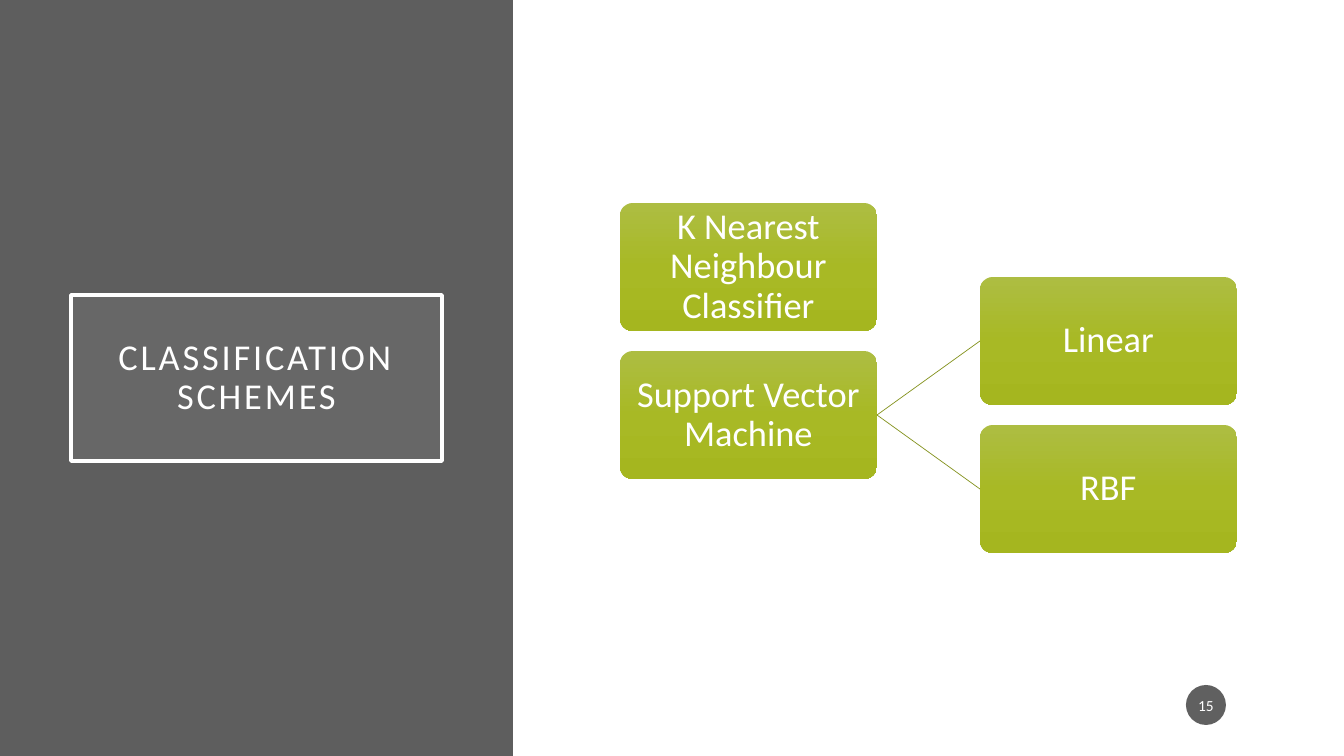
from copy import deepcopy

from lxml import etree
from pptx import Presentation
from pptx.dml.color import RGBColor
from pptx.enum.shapes import MSO_CONNECTOR, MSO_SHAPE
from pptx.enum.text import MSO_ANCHOR, PP_ALIGN
from pptx.oxml.ns import qn
from pptx.util import Emu, Pt

RECT, ROUND, OVAL = MSO_SHAPE.RECTANGLE, MSO_SHAPE.ROUNDED_RECTANGLE, MSO_SHAPE.OVAL
STRAIGHT = MSO_CONNECTOR.STRAIGHT
MIDDLE, CENTER = MSO_ANCHOR.MIDDLE, PP_ALIGN.CENTER

# Content
TITLE = "CLASSIFICATION SCHEMES"
PAGE = "15"
NODES = {  # text: (column, row)
    "K Nearest Neighbour Classifier": (0, 0),
    "Support Vector Machine": (0, 1),
    "Linear": (1, 0.5),
    "RBF": (1, 1.5),
}
LINKS = [("Support Vector Machine", "Linear"), ("Support Vector Machine", "RBF")]

# Style
FONT = "Calibri"
WHITE = RGBColor(0xFF, 0xFF, 0xFF)
PANEL = RGBColor(0x5E, 0x5E, 0x5E)
TITLE_FILL = RGBColor(0x9E, 0x9E, 0x9E)
BADGE = RGBColor(0x1D, 0x1D, 0x1D)
LINK = RGBColor(0x85, 0x93, 0x1F)
GREENS = [RGBColor(0xAD, 0xBD, 0x42), RGBColor(0xA8, 0xB9, 0x25), RGBColor(0xA5, 0xB6, 0x1F)]

# Layout in px
SLIDE_W, SLIDE_H = 1344, 756
NODE_X, NODE_Y, NODE_W, NODE_H = 620, 203, 257, 128
COL_STEP, ROW_STEP = 360, 148


def px(n):
    return Emu(round(n * 914400 / 100.8))


def add_box(kind, x, y, w, h, color=None, alpha=None):
    sp = slide.shapes.add_shape(kind, px(x), px(y), px(w), px(h))
    sp.shadow.inherit = False
    sp.line.fill.background()
    if color is not None:
        sp.fill.solid()
        sp.fill.fore_color.rgb = color
    if alpha is not None:
        clr = sp._element.spPr.find(".//" + qn("a:srgbClr"))
        etree.SubElement(clr, qn("a:alpha"), val=str(alpha * 1000))
    return sp


def write(sp, text, size, inset_x, inset_y, spacing=1.0):
    tf = sp.text_frame
    tf.word_wrap = True
    tf.vertical_anchor = MIDDLE
    tf.margin_left = tf.margin_right = px(inset_x)
    tf.margin_top = tf.margin_bottom = px(inset_y)
    tf.text = text
    p = tf.paragraphs[0]
    p.alignment = CENTER
    p.line_spacing = spacing
    r = p.runs[0]
    r.font.name, r.font.size, r.font.color.rgb = FONT, Pt(size), WHITE
    return r


def fill_gradient(sp, colors):
    sp.fill.gradient()
    sp.fill.gradient_angle = 270
    first = sp._element.spPr.find(".//" + qn("a:gs"))
    first.addnext(deepcopy(first))
    for i, (stop, color) in enumerate(zip(sp.fill.gradient_stops, colors)):
        stop.position = i / (len(colors) - 1)
        stop.color.rgb = color


prs = Presentation()
prs.slide_width, prs.slide_height = px(SLIDE_W), px(SLIDE_H)
slide = prs.slides.add_slide(prs.slide_layouts[6])

# Left panel and framed title
add_box(RECT, 0, 0, 513, SLIDE_H, PANEL)
frame = add_box(RECT, 71, 295, 371, 166, TITLE_FILL, 15)
frame.line.color.rgb = WHITE
frame.line.width = Pt(2.5)
r = write(frame, TITLE, 26, 20, 20, 0.9)
r.font._element.set("spc", "200")

# Classifier boxes
boxes = {}
for text, (col, row) in NODES.items():
    sp = add_box(ROUND, NODE_X + col * COL_STEP, NODE_Y + row * ROW_STEP, NODE_W, NODE_H)
    sp.adjustments[0] = 0.1
    fill_gradient(sp, GREENS)
    write(sp, text, 26, 2, 2, 0.9)
    boxes[text] = sp

# Links from a classifier to its kernels
for parent, child in LINKS:
    link = slide.shapes.add_connector(STRAIGHT, 0, 0, 0, 0)
    link.begin_connect(boxes[parent], 3)
    link.end_connect(boxes[child], 1)
    link.line.color.rgb = LINK
    link.line.width = Pt(0.5)
    etree.SubElement(link._element.spPr, qn("a:effectLst"))

# Page number
badge = add_box(OVAL, 1186, 685, 40, 40, BADGE, 70)
write(badge, PAGE, 11, 2, 5)

prs.save("out.pptx")
